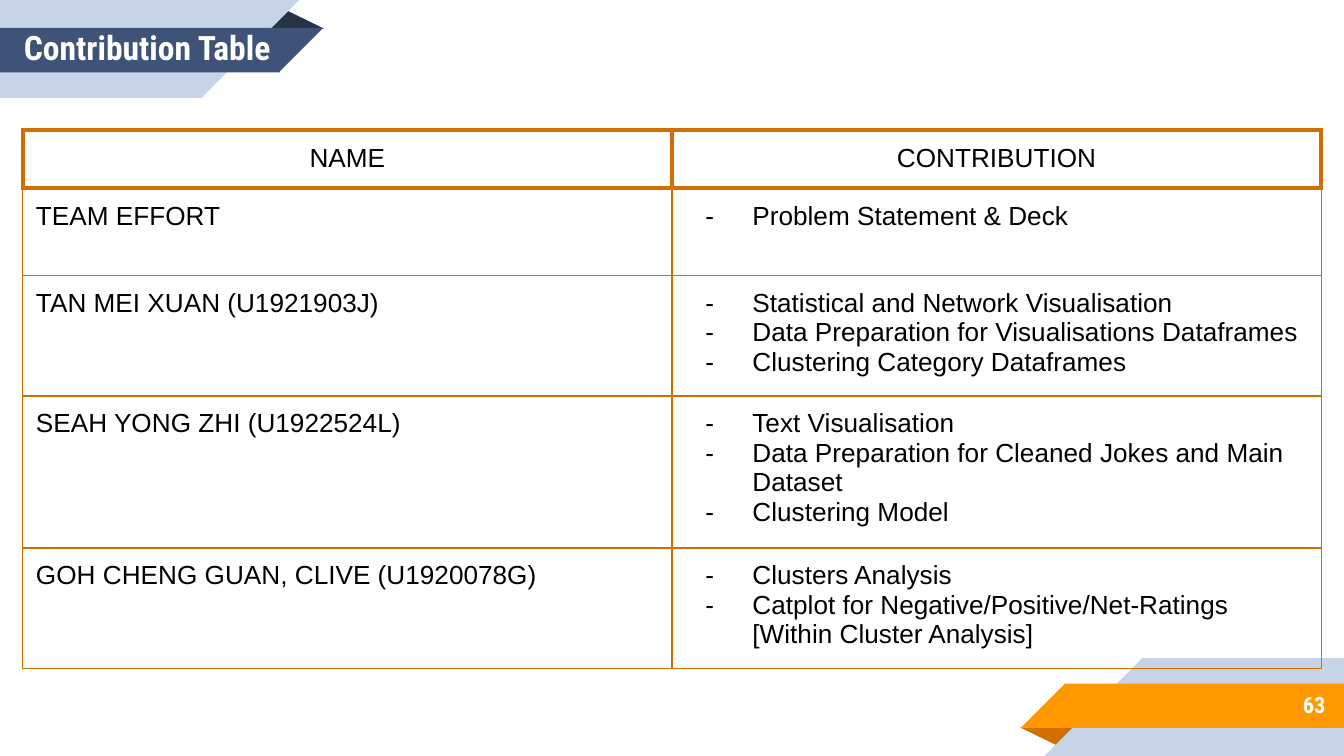
from dataclasses import dataclass

from lxml import etree
from pptx import Presentation
from pptx import util as u
from pptx.dml.color import RGBColor
from pptx.enum import shapes, text
from pptx.oxml import ns


@dataclass(frozen=True)
class Theme:
    navy: str = "3F5378"
    navy_fold: str = "263248"
    orange: str = "FF9800"
    orange_fold: str = "D26F00"
    pale: str = "C7D3E6"
    white: str = "FFFFFF"
    black: str = "000000"
    heading_font: str = "Roboto Condensed"
    body_font: str = "Arial"
    title_size: float = 18
    number_size: float = 12
    body_size: float = 14
    thin: float = 0.75
    thick: float = 2.25


THEME = Theme()
WIDTH, HEIGHT = 25.4, 14.29
OVERLAP = 0.02
INSET = u.Cm(0.25)

HEADERS = ("NAME", "CONTRIBUTION")
CONTRIBUTIONS = (
    ("TEAM EFFORT", ["Problem Statement & Deck"]),
    ("TAN MEI XUAN (U1921903J)", [
        "Statistical and Network Visualisation",
        "Data Preparation for Visualisations Dataframes",
        "Clustering Category Dataframes"]),
    ("SEAH YONG ZHI (U1922524L)", [
        "Text Visualisation",
        "Data Preparation for Cleaned Jokes and Main Dataset",
        "Clustering Model"]),
    ("GOH CHENG GUAN, CLIVE (U1920078G)", [
        "Clusters Analysis",
        "Catplot for Negative/Positive/Net-Ratings [Within Cluster Analysis]"]),
)


def add_ribbon(s, band, fold, turned=False):
    """Draw the top-left ribbon, or the same turned about the slide centre."""
    kind = shapes.MSO_SHAPE
    group = s.shapes.add_group_shape()

    def piece(preset, left, top, width, height, color):
        if turned:
            left, top = WIDTH - left - width, HEIGHT - top - height
        sp = group.shapes.add_shape(
            preset, u.Cm(left), u.Cm(top), u.Cm(width), u.Cm(height))
        sp.shadow.inherit = False
        sp.fill.solid()
        sp.fill.fore_color.rgb = RGBColor.from_string(color)
        sp.line.fill.background()
        sp.rotation = 180 if turned else 0
        return sp

    def slanted_bar(top, length, height, color):
        piece(kind.RECTANGLE, 0, top, length + OVERLAP, height, color)
        end = piece(kind.RIGHT_TRIANGLE, length, top, height, height, color)
        end._element.spPr.xfrm.set("flipV", "1")

    corner = piece(kind.ISOSCELES_TRIANGLE, 5.03, 0.18, 1.09, 0.36, fold)
    corner.adjustments[0] = 0.324
    slanted_bar(0, 3.81, 1.85, THEME.pale)
    slanted_bar(0.53, 5.27, 0.84, band)


def add_run(p, words, size, font, color, bold=False):
    r = p.add_run()
    r.text = words
    r.font.size = u.Pt(size)
    r.font.name = font
    r.font.bold = bold
    r.font.color.rgb = RGBColor.from_string(color)


def add_label(s, words, left, top, width, height, size, align):
    sp = s.shapes.add_textbox(u.Cm(left), u.Cm(top), u.Cm(width), u.Cm(height))
    tf = sp.text_frame
    tf.word_wrap = True
    tf.vertical_anchor = text.MSO_ANCHOR.MIDDLE
    tf.margin_left = tf.margin_right = tf.margin_top = tf.margin_bottom = INSET
    p = tf.paragraphs[0]
    p.alignment = align
    add_run(p, words, size, THEME.heading_font, THEME.white, bold=True)


def add_dash(p):
    pPr = p._p.get_or_add_pPr()
    pPr.set("marL", str(u.Cm(1.27)))
    pPr.set("indent", str(-u.Cm(0.89)))
    color = etree.SubElement(pPr, ns.qn("a:buClr"))
    etree.SubElement(color, ns.qn("a:srgbClr"), val=THEME.black)
    etree.SubElement(pPr, ns.qn("a:buSzPts"), val=str(THEME.body_size * 100))
    etree.SubElement(pPr, ns.qn("a:buFont"), typeface=THEME.body_font)
    etree.SubElement(pPr, ns.qn("a:buChar"), char="-")


def set_end_size(p, size):
    """Size the paragraph mark, which also sets the bullet and line height."""
    etree.SubElement(p._p, ns.qn("a:endParaRPr"), sz=str(size * 100))


def set_borders(cell, top, others):
    tcPr = cell._tc.get_or_add_tcPr()
    widths = {"lnL": others, "lnR": others, "lnT": top, "lnB": others}
    for i, (side, width) in enumerate(widths.items()):
        ln = etree.Element(ns.qn(f"a:{side}"), w=str(u.Pt(width)))
        fill = etree.SubElement(ln, ns.qn("a:solidFill"))
        etree.SubElement(fill, ns.qn("a:srgbClr"), val=THEME.orange_fold)
        tcPr.insert(i, ln)


def fill_cell(cell, lines, align=text.PP_ALIGN.LEFT, dashed=False):
    cell.fill.background()
    cell.margin_left = cell.margin_right = INSET
    cell.margin_top = cell.margin_bottom = INSET
    tf = cell.text_frame
    for i, line in enumerate(lines):
        p = tf.add_paragraph() if i else tf.paragraphs[0]
        if dashed:
            add_dash(p)
        p.alignment = align
        add_run(p, line, THEME.body_size, THEME.body_font, THEME.black)
        set_end_size(p, THEME.body_size)


def add_contribution_table(s):
    header_height, row_height, column_width = u.Cm(0.97), u.Cm(1.65), u.Cm(12.27)
    count = len(CONTRIBUTIONS)
    table = s.shapes.add_table(
        count + 1, 2, u.Cm(0.43), u.Cm(2.46), column_width * 2,
        header_height + row_height * count).table
    table.first_row = table.horz_banding = False
    for column in table.columns:
        column.width = column_width
    for i, row in enumerate(table.rows):
        row.height = row_height if i else header_height

    for i, header in enumerate(HEADERS):
        fill_cell(table.cell(0, i), [header], text.PP_ALIGN.CENTER)
        set_borders(table.cell(0, i), THEME.thick, THEME.thick)
    for i, (name, tasks) in enumerate(CONTRIBUTIONS, start=1):
        fill_cell(table.cell(i, 0), [name])
        fill_cell(table.cell(i, 1), tasks, dashed=True)
        for cell in table.rows[i].cells:
            set_borders(cell, THEME.thick if i == 1 else THEME.thin, THEME.thin)


def main():
    prs = Presentation()
    prs.slide_width, prs.slide_height = u.Cm(WIDTH), u.Cm(HEIGHT)
    s = prs.slides.add_slide(prs.slide_layouts[6])
    add_ribbon(s, THEME.orange, THEME.orange_fold, turned=True)
    add_ribbon(s, THEME.navy, THEME.navy_fold)
    add_label(s, "63", 21.16, 12.88, 4.14, 0.89,
              THEME.number_size, text.PP_ALIGN.RIGHT)
    add_label(s, "Contribution Table", 0.2, -0.18, 5.31, 2.13,
              THEME.title_size, text.PP_ALIGN.LEFT)
    add_contribution_table(s)
    prs.save("out.pptx")


if __name__ == "__main__":
    main()
